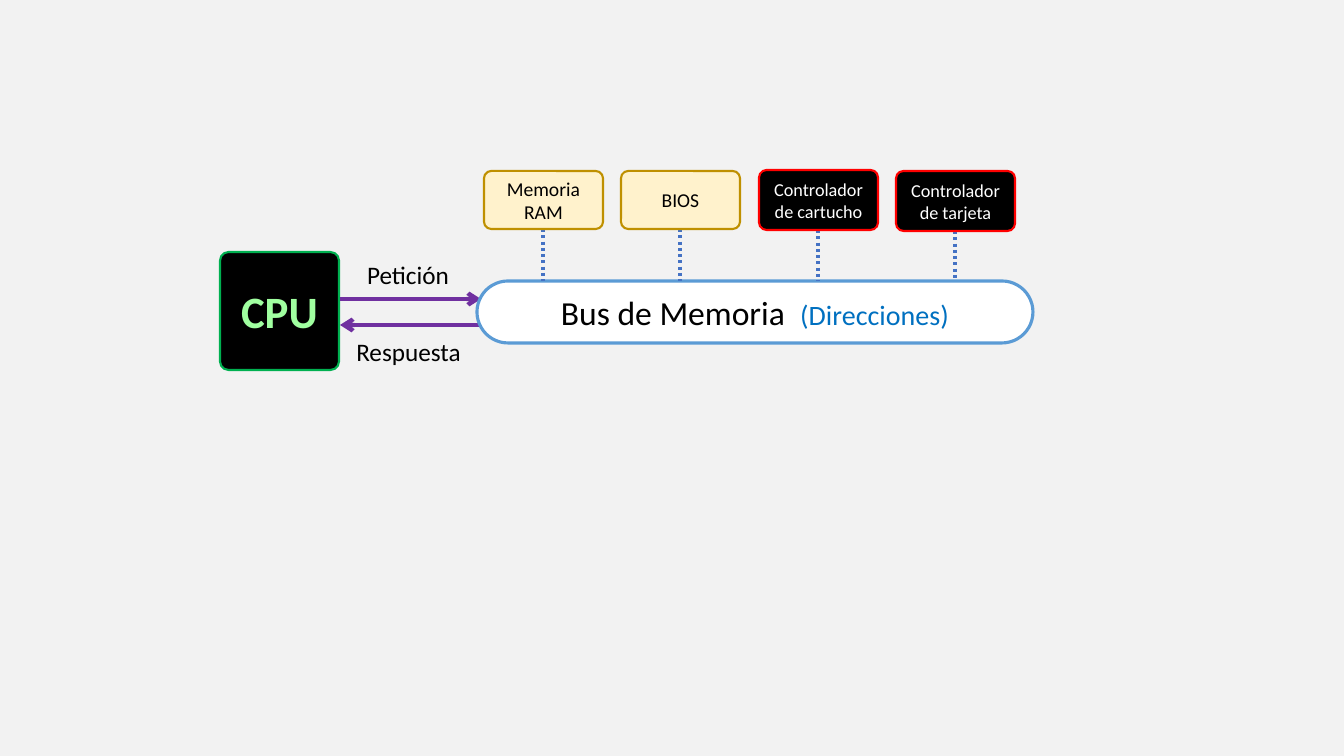
"""Build the slide of a CPU talking to its memory bus."""
from dataclasses import dataclass

from lxml import etree
from pptx import Presentation
from pptx import util as u
from pptx.dml.color import RGBColor
from pptx.enum import dml, shapes, text
from pptx.oxml import ns


@dataclass(frozen=True)
class Theme:
    font: str = "Calibri"
    back: str = "F2F2F2"
    black: str = "000000"
    white: str = "FFFFFF"
    green: str = "00B050"
    mint: str = "A0FFA0"
    red: str = "FF0000"
    cream: str = "FFF2CC"
    gold: str = "BF9000"
    sky: str = "5B9BD5"
    blue: str = "0070C0"
    link: str = "4472C4"
    purple: str = "7030A0"
    huge: int = 32
    large: int = 24
    mid: int = 20
    label: int = 18
    unit: int = 14
    small: int = 13


T = Theme()


@dataclass(frozen=True)
class Bit:
    words: str
    size: int
    color: str
    bold: bool = False
    track: int = 0


@dataclass(frozen=True)
class Box:
    left: int
    top: int
    width: int
    height: int
    bits: tuple[Bit, ...]
    fill: str = ""
    edge: str = ""
    weight: float = 1.5
    curve: float = 0.125


@dataclass(frozen=True)
class Line:
    start: tuple[int, int]
    end: tuple[int, int]
    color: str
    weight: float
    tip: str = ""
    dots: bool = False


def px(n: int) -> u.Emu:
    """Turn pixels into EMU."""
    return u.Emu(round(n * 914400 / 100.8))


def rgb(code: str) -> RGBColor:
    """Turn a hex code into a colour."""
    return RGBColor.from_string(code)


def write(frame, bits: tuple[Bit, ...]) -> None:
    """Fill a text frame with one centred paragraph."""
    frame.word_wrap = True
    frame.vertical_anchor = text.MSO_ANCHOR.MIDDLE
    para = frame.paragraphs[0]
    para.alignment = text.PP_ALIGN.CENTER
    para.font.name = T.font
    for bit in bits:
        run = para.add_run()
        run.text = bit.words
        run.font.size = u.Pt(bit.size)
        run.font.bold = bit.bold
        run.font.color.rgb = rgb(bit.color)
        if bit.track:
            run._r.get_or_add_rPr().set("spc", str(bit.track))


def draw_box(slide, box: Box) -> None:
    """Draw a rounded box, or a bare label if it has no fill."""
    area = [px(n) for n in (box.left, box.top, box.width, box.height)]
    if box.fill:
        shape = slide.shapes.add_shape(shapes.MSO_SHAPE.ROUNDED_RECTANGLE, *area)
        shape.adjustments[0] = box.curve
        shape.shadow.inherit = False
        shape.fill.solid()
        shape.fill.fore_color.rgb = rgb(box.fill)
        shape.line.color.rgb = rgb(box.edge)
        shape.line.width = u.Pt(box.weight)
    else:
        shape = slide.shapes.add_textbox(*area)
    write(shape.text_frame, box.bits)


def draw_line(slide, line: Line) -> None:
    """Draw a straight line, dotted or with an arrowhead."""
    ends = [px(n) for n in (*line.start, *line.end)]
    wire = slide.shapes.add_connector(shapes.MSO_CONNECTOR.STRAIGHT, *ends)
    wire.line.color.rgb = rgb(line.color)
    wire.line.width = u.Pt(line.weight)
    if line.dots:
        wire.line.dash_style = dml.MSO_LINE.ROUND_DOT
    if line.tip:
        stroke = wire.line._get_or_add_ln()
        etree.SubElement(stroke, ns.qn(f"a:{line.tip}"), type="arrow")
    etree.SubElement(wire._element.spPr, ns.qn("a:effectLst"))


CPU = Box(220, 252, 119, 118, (Bit("CPU", T.huge, T.mint, True),),
          T.black, T.green, curve=0.073)
BUS = Box(477, 281, 556, 62,
          (Bit("Bus de Memoria", T.large, T.black),
           Bit(" ", T.large, T.black, track=540),
           Bit("(Direcciones)", T.mid, T.blue)),
          T.white, T.sky, 2.25, 0.5)
LABELS = (
    Box(348, 254, 120, 40, (Bit("Petición", T.label, T.black),)),
    Box(341, 331, 135, 40, (Bit("Respuesta", T.label, T.black),)),
)
ARROWS = (
    Line((340, 299), (481, 299), T.purple, 3, "tailEnd"),
    Line((340, 325), (480, 325), T.purple, 3, "headEnd"),
)


def unit(spot: int, top: int, high: int, bit: Bit, fill: str, edge: str) -> Box:
    """Place a device box in the row above the bus."""
    return Box(484 + spot * 275 // 2, top, 119, high, (bit,), fill, edge)


UNITS = (
    unit(0, 171, 58, Bit("Memoria RAM", T.unit, T.black), T.cream, T.gold),
    unit(1, 171, 58, Bit("BIOS", T.unit, T.black), T.cream, T.gold),
    unit(2, 170, 60, Bit("Controlador de cartucho", T.small, T.white),
         T.black, T.red),
    unit(3, 171, 60, Bit("Controlador de tarjeta", T.small, T.white),
         T.black, T.red),
)


def main() -> None:
    """Build and save the slide."""
    deck = Presentation()
    deck.slide_width, deck.slide_height = px(1344), px(756)
    slide = deck.slides.add_slide(deck.slide_layouts[6])
    slide.background.fill.solid()
    slide.background.fill.fore_color.rgb = rgb(T.back)
    for box in (CPU, *LABELS):
        draw_box(slide, box)
    for line in ARROWS:
        draw_line(slide, line)
    draw_box(slide, BUS)
    for box in UNITS:
        mid = box.left + box.width // 2
        draw_line(slide, Line((mid, box.top + box.height), (mid, BUS.top),
                              T.link, 2.25, dots=True))
        draw_box(slide, box)
    deck.save("out.pptx")


if __name__ == "__main__":
    main()
